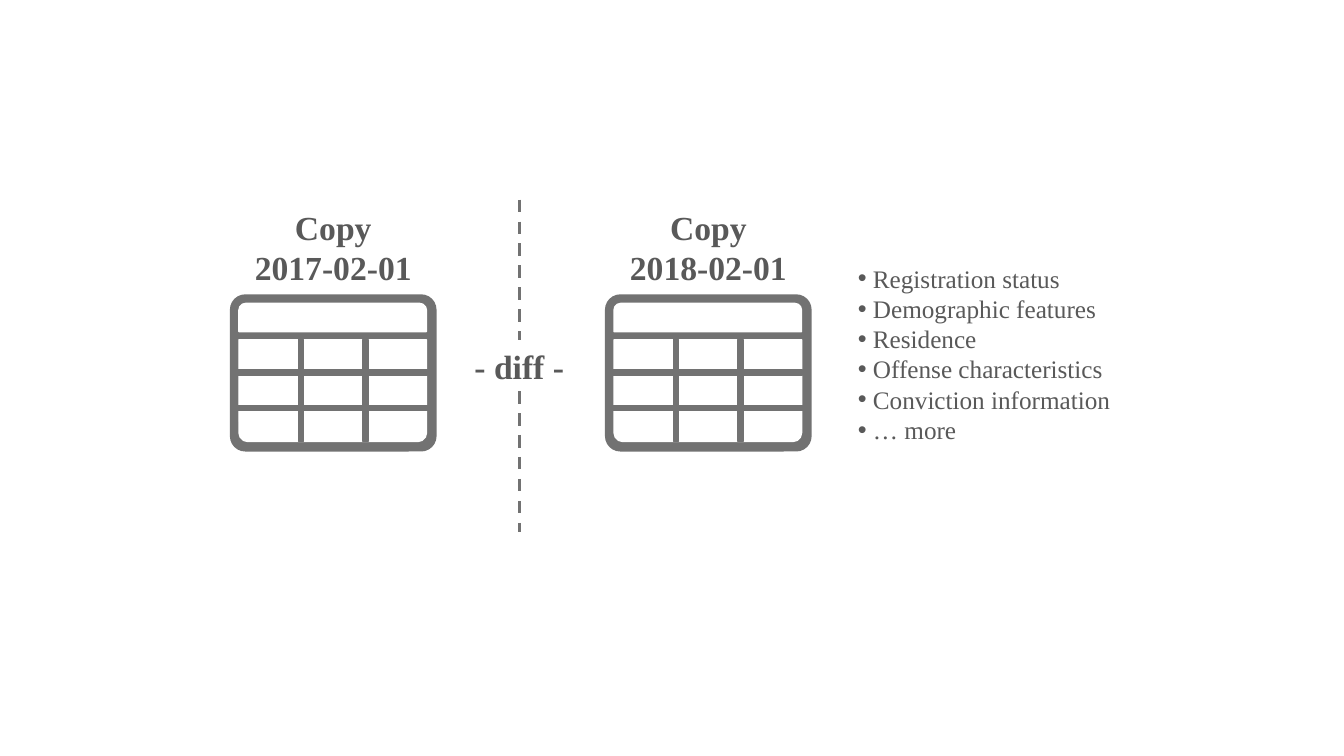
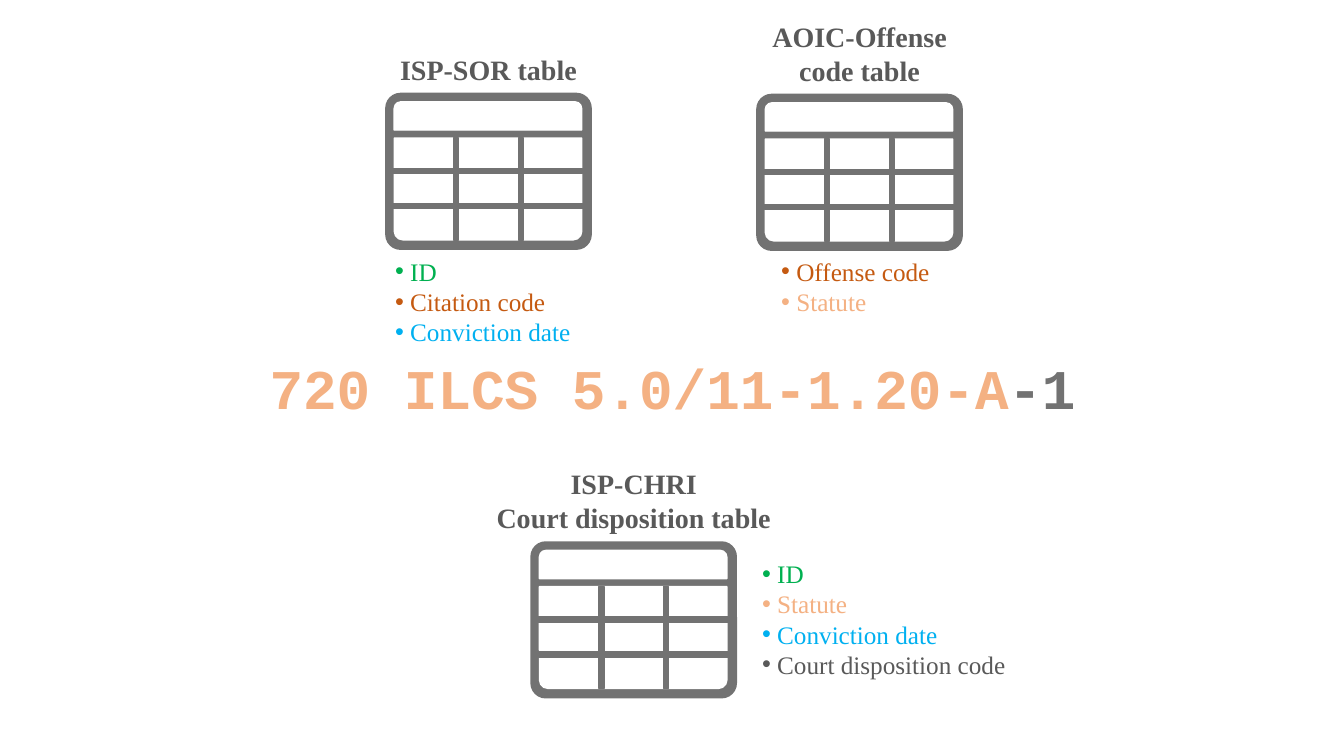
from lxml import etree
from pptx import Presentation
from pptx import util as u
from pptx.dml.color import RGBColor
from pptx.enum import dml, shapes, text
from pptx.oxml.ns import qn

GREY, INK, WHITE = "727272", "595959", "FFFFFF"
GREEN, RUST, PEACH, BLUE = "00B050", "C55A11", "F4B183", "00B0F0"
SERIF, MONO = "Times New Roman", "Courier New"
GRID_W, GRID_H = 2.05, 1.56
KIND = shapes.MSO_SHAPE


def color(hue):
    """Turn a hex string into a colour."""
    return RGBColor.from_string(hue)


def box(slide, kind, x, y, w, h, hue, adj=(), line=True, turn=0):
    """Add a preset shape in one flat colour."""
    part = slide.shapes.add_shape(kind, *map(u.Inches, (x, y, w, h)))
    part.shadow.inherit = False
    part.fill.solid()
    part.fill.fore_color.rgb = color(hue)
    if line:
        part.line.color.rgb = color(hue)
        part.line.width = u.Pt(1)
    else:
        part.line.fill.background()
    for i, value in enumerate(adj):
        part.adjustments[i] = value
    part.rotation = turn


def write(slide, x, y, w, h, lines, size=18, hue=INK, font=SERIF,
          bold=False, center=False, bullet=False):
    """Write lines; each is a list of (text, colour) runs or a plain string."""
    frame = slide.shapes.add_textbox(*map(u.Inches, (x, y, w, h))).text_frame
    frame.word_wrap = True
    for i, line in enumerate(lines):
        para = frame.paragraphs[0] if i == 0 else frame.add_paragraph()
        para.alignment = text.PP_ALIGN.CENTER if center else text.PP_ALIGN.LEFT
        if bullet:
            props = para._p.get_or_add_pPr()
            props.set("marL", str(u.Inches(0.15)))
            props.set("indent", str(-u.Inches(0.15)))
            etree.SubElement(props, qn("a:buFont")).set("typeface", "Arial")
            etree.SubElement(props, qn("a:buChar")).set("char", "•")
        for words, tint in [(line, hue)] if isinstance(line, str) else line:
            run = para.add_run()
            run.text = words
            run.font.name = font
            run.font.size = u.Pt(size)
            run.font.bold = bold
            run.font.color.rgb = color(tint)


def dash(slide, x, top, end):
    """Draw an upright dashed line."""
    line = slide.shapes.add_connector(
        shapes.MSO_CONNECTOR.STRAIGHT, *map(u.Inches, (x, top, x, end)))
    line.line.color.rgb = color(GREY)
    line.line.width = u.Pt(2.25)
    line.line.dash_style = dml.MSO_LINE.DASH
    etree.SubElement(line._element.spPr, qn("a:effectLst"))


def grid(slide, x, y, title, size=20, wide=2.32):
    """Draw a table icon at x, y with its title centred above it."""
    box(slide, KIND.ROUNDED_RECTANGLE, x, y, GRID_W, GRID_H, GREY,
        adj=[0.098], line=False)
    cap = KIND.ROUND_2_SAME_RECTANGLE
    box(slide, cap, x + 0.09, y + 0.09, 1.86, 0.28, WHITE, adj=[0.238, 0])
    box(slide, cap, x + 0.09, y + 0.45, 1.86, 1.01, WHITE, adj=[0.085, 0],
        turn=180)
    for col in (0.68, 1.32):
        box(slide, KIND.RECTANGLE, x + col, y + 0.45, 0.05, 1.01, GREY)
    for left, row in ((0.05, 0.75), (0.08, 1.1)):
        box(slide, KIND.RECTANGLE, x + left, y + row, 1.91, 0.05, GREY)
    high = 0.1 + len(title) * size / 60
    write(slide, x + (GRID_W - wide) / 2, y - 0.02 - high, wide, high, title,
          size=size, bold=True, center=True)


def points(slide, x, y, w, items):
    """Write a bulleted list of (text, colour) items."""
    write(slide, x, y, w, 0.1 + 0.3 * len(items), [[item] for item in items],
          bullet=True)


def compare(slide):
    """Build the slide that sets two yearly copies side by side."""
    top, mid = 2.92, 5.15
    for x, date in ((2.28, "2017-02-01"), (6, "2018-02-01")):
        grid(slide, x, top, ["Copy", date], size=24)
    write(slide, mid - 1.16, 3.38, 2.32, 0.5, ["- diff -"], size=24,
          bold=True, center=True)
    dash(slide, mid, 1.98, 3.37)
    dash(slide, mid, 3.88, 5.28)
    names = ["Registration status", "Demographic features", "Residence",
             "Offense characteristics", "Conviction information", "… more"]
    points(slide, 8.41, 2.56, 3.13, [(name, INK) for name in names])


def link(slide):
    """Build the slide that joins three tables through shared fields."""
    key, date, law = ("ID", GREEN), ("Conviction date", BLUE), ("Statute", PEACH)
    write(slide, 2.25, 3.46, 8.84, 0.77,
          [[("720 ILCS 5.0/11-1.20-A", PEACH), ("-1", GREY)]],
          size=40, font=MONO, bold=True, center=True)
    grid(slide, 3.82, 0.92, ["ISP-SOR table"])
    points(slide, 3.82, 2.49, 2.05, [key, ("Citation code", RUST), date])
    grid(slide, 7.5, 0.93, ["AOIC-Offense", "code table"])
    points(slide, 7.65, 2.49, 1.74, [("Offense code", RUST), law])
    grid(slide, 5.26, 5.37, ["ISP-CHRI", "Court disposition table"], wide=3.29)
    points(slide, 7.46, 5.49, 2.89,
           [key, law, date, ("Court disposition code", INK)])


deck = Presentation()
deck.slide_width, deck.slide_height = u.Inches(13.33), u.Inches(7.5)
for build in (compare, link):
    build(deck.slides.add_slide(deck.slide_layouts[6]))
deck.save("out.pptx")
